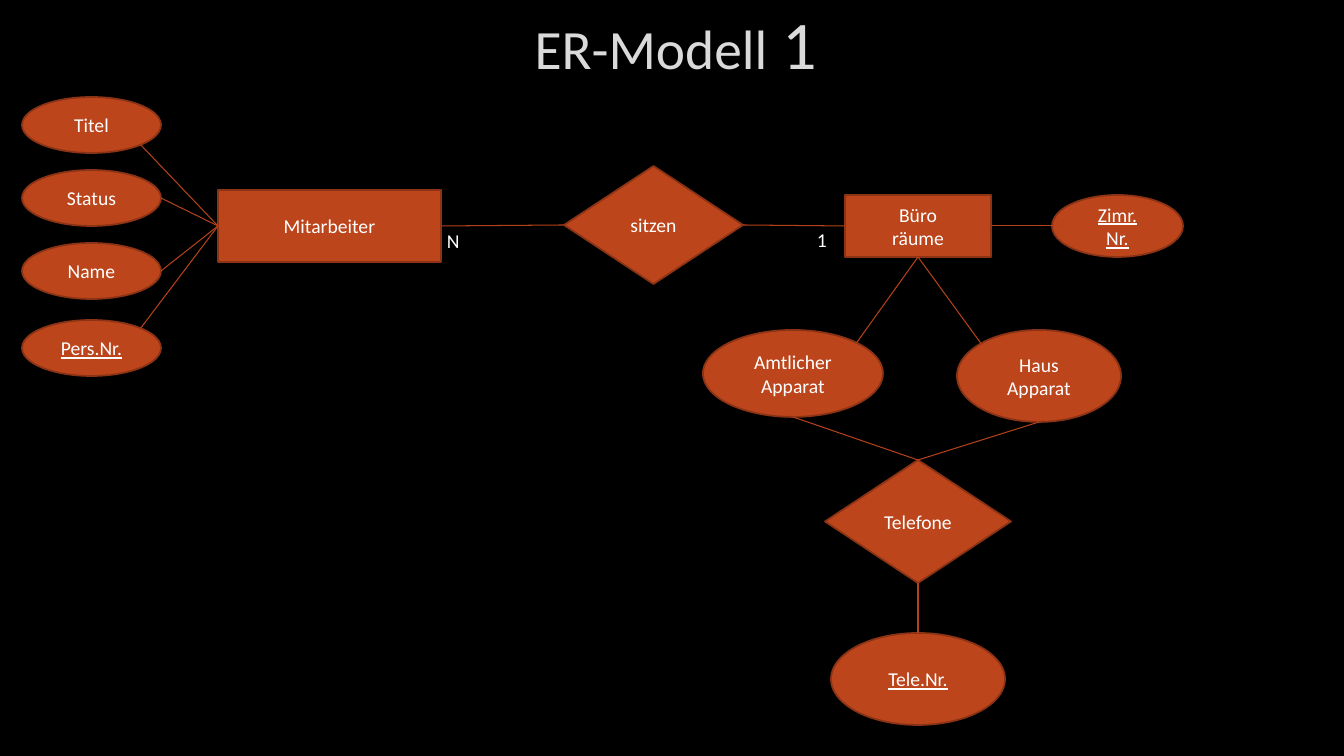
import pptx
import pptx.util
import pptx.dml.color
import pptx.enum.shapes
import pptx.enum.text
import pptx.oxml
import pptx.oxml.ns

RGBColor = pptx.dml.color.RGBColor
BLACK = RGBColor(0x00, 0x00, 0x00)
WHITE = RGBColor(0xFF, 0xFF, 0xFF)
GREY = RGBColor(0xDA, 0xDA, 0xDA)
RUST = RGBColor(0xBC, 0x45, 0x1B)
BROWN = RGBColor(0x8B, 0x33, 0x14)
WIRE = RGBColor(0xB4, 0x42, 0x1A)

SHAPE = pptx.enum.shapes.MSO_SHAPE
OVAL, RECT, RHOMB = SHAPE.OVAL, SHAPE.RECTANGLE, SHAPE.DIAMOND
ANCHOR = pptx.enum.text.MSO_ANCHOR
CENTER = pptx.enum.text.PP_ALIGN.CENTER
LEFT_AL = pptx.enum.text.PP_ALIGN.LEFT

SCALE = 914400 / 100.8
FONT = {"name": "Calibri", "size": pptx.util.Pt(14)}
FRAME = {"word_wrap": True, "vertical_anchor": ANCHOR.MIDDLE}
LABEL = {"word_wrap": False, "vertical_anchor": ANCHOR.TOP}

TOP, BOTTOM, LEFT, RIGHT = (0.5, 0), (0.5, 1), (0, 0.5), (1, 0.5)
NEAR, FAR = 0.5 - 0.125 ** 0.5, 0.5 + 0.125 ** 0.5

NODES = {
    "room no": (OVAL, "Zimr.\nNr.", (1052, 195, 131, 62), True),
    "room": (RECT, "Büro\nräume", (845, 195, 146, 62), False),
    "staff": (RECT, "Mitarbeiter", (218, 190, 223, 72), False),
    "sit": (RHOMB, "sitzen", (564, 166, 179, 118), False),
    "desk": (OVAL, "Amtlicher Apparat", (703, 330, 180, 87), False),
    "phone no": (OVAL, "Tele.Nr.", (831, 633, 174, 92), True),
    "house": (OVAL, "Haus Apparat", (957, 330, 164, 92), False),
    "phone": (RHOMB, "Telefone", (825, 460, 186, 123), False),
}
TRAITS = [
    ("Titel", 97, (FAR, FAR), False),
    ("Status", 170, RIGHT, False),
    ("Name", 243, RIGHT, False),
    ("Pers.Nr.", 320, (FAR, NEAR), True),
]
LINKS = [
    ("sit", RIGHT, "room", LEFT),
    ("room", RIGHT, "room no", (0.08, 0.5)),
    ("staff", RIGHT, "sit", LEFT),
    ("room", BOTTOM, "desk", (FAR, NEAR)),
    ("room", BOTTOM, "house", (NEAR, NEAR)),
    ("desk", BOTTOM, "phone", TOP),
    ("phone", TOP, "house", BOTTOM),
    ("phone", BOTTOM, "phone no", TOP),
]


def px(*vals):
    return [pptx.util.Emu(round(val * SCALE)) for val in vals]


def put(item, form):
    for key, val in form.items():
        setattr(item, key, val)


def paint(fill, color):
    fill.solid()
    fill.fore_color.rgb = color


def style(frame, form, align, line=None):
    put(frame, form)
    for para in frame.paragraphs:
        para.alignment = align
        for run in para.runs:
            put(run.font, {**FONT, "underline": line})
            run.font.color.rgb = WHITE


def add_node(slide, kind, text, box, key):
    node = slide.shapes.add_shape(kind, *px(*box))
    node.shadow.inherit = False
    paint(node.fill, RUST)
    paint(node.line.fill, BROWN)
    node.line.width = pptx.util.Pt(1.25)
    node.text_frame.text = text
    style(node.text_frame, FRAME, CENTER, key or None)
    return node


def add_label(slide, text, box):
    label = slide.shapes.add_textbox(*px(*box))
    label.text_frame.text = text
    style(label.text_frame, LABEL, LEFT_AL)


def spot(node, part):
    return (round(node.left + node.width * part[0]),
            round(node.top + node.height * part[1]))


def add_link(slide, start, exit, goal, entry):
    link = slide.shapes.add_connector(
        pptx.enum.shapes.MSO_CONNECTOR.STRAIGHT,
        *spot(start, exit), *spot(goal, entry))
    paint(link.line.fill, WIRE)
    link.line.width = pptx.util.Pt(0.75)
    pptx.oxml.ns.qn("a:effectLst")
    link._element.spPr.append(pptx.oxml.parse_xml(
        f'<a:effectLst {pptx.oxml.ns.nsdecls("a")}/>'))


def add_title(slide):
    title = slide.shapes.title
    box = px(474, 0, 404, 84)
    put(title, dict(zip(("left", "top", "width", "height"), box)))
    frame = title.text_frame
    put(frame, {**FRAME, "auto_size": pptx.enum.text.MSO_AUTO_SIZE.NONE})
    para = frame.paragraphs[0]
    para.alignment = CENTER
    for text, size in (("ER-Modell", 39.6), (" 1", 48.6)):
        run = para.add_run()
        run.text = text
        put(run.font, {**FONT, "size": pptx.util.Pt(size)})
        run.font.color.rgb = GREY
        run._r.get_or_add_rPr().insert(0, pptx.oxml.parse_xml(
            f'<a:ln {pptx.oxml.ns.nsdecls("a")} w="9525"><a:solidFill>'
            '<a:srgbClr val="404040"><a:alpha val="10000"/></a:srgbClr>'
            '</a:solidFill><a:prstDash val="solid"/></a:ln>'))


def main():
    deck = pptx.Presentation()
    deck.slide_width, deck.slide_height = px(1344, 756)
    slide = deck.slides.add_slide(deck.slide_layouts[0])
    paint(slide.background.fill, BLACK)
    blank = slide.placeholders[1]._element
    blank.getparent().remove(blank)
    add_title(slide)

    nodes = {name: add_node(slide, *node) for name, node in NODES.items()}
    traits = [(add_node(slide, OVAL, text, (22, top, 139, 56), key), part)
              for text, top, part, key in TRAITS]
    for trait, part in traits:
        add_link(slide, trait, part, nodes["staff"], LEFT)
    for start, exit, goal, entry in LINKS:
        add_link(slide, nodes[start], exit, nodes[goal], entry)

    add_label(slide, "N", (437, 224, 36, 34))
    add_label(slide, "1", (807, 223, 34, 34))
    deck.save("out.pptx")


if __name__ == "__main__":
    main()
